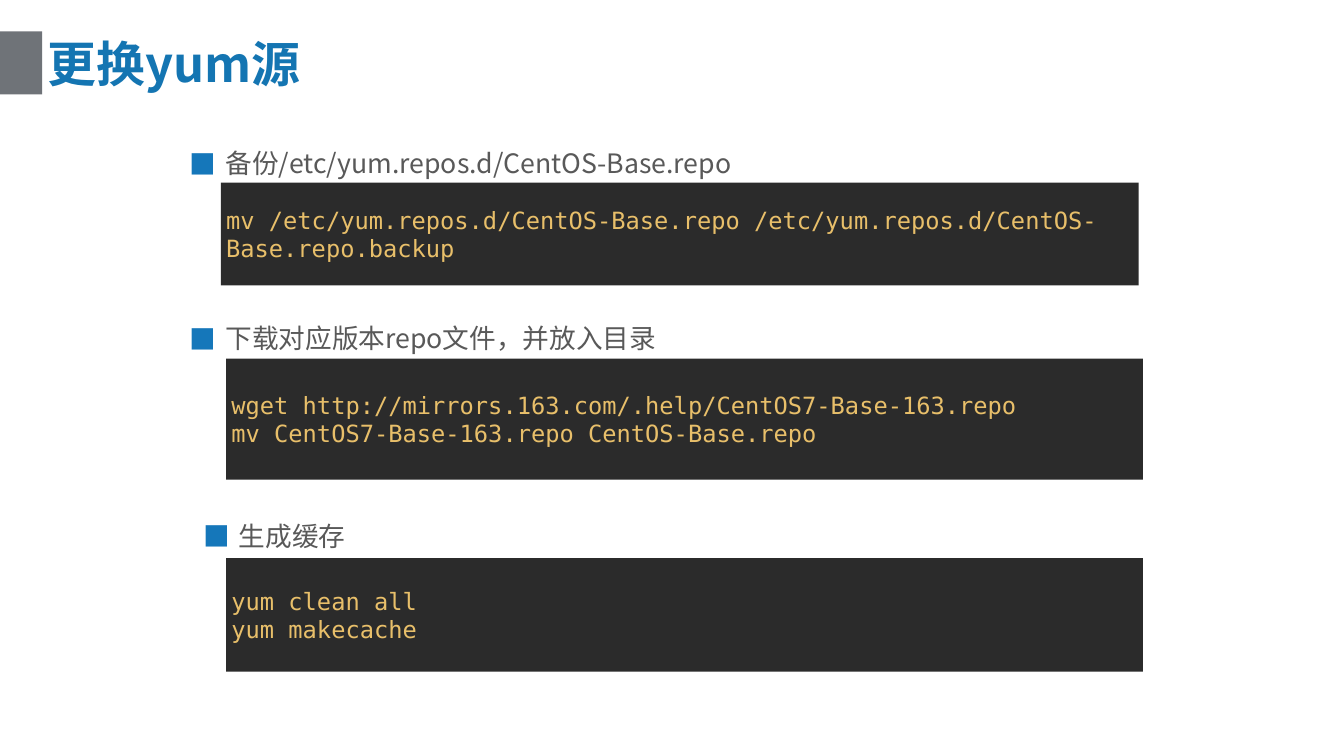
from lxml.etree import SubElement
from pptx import Presentation
from pptx.dml.color import RGBColor
from pptx.enum.shapes import MSO_SHAPE
from pptx.enum.text import MSO_ANCHOR, MSO_AUTO_SIZE, PP_ALIGN
from pptx.oxml.ns import qn
from pptx.util import Cm, Pt

SANS = "Noto Sans CJK SC"
MONO = "DejaVu Sans Mono"
BULLET_INDENT = Cm(1.7)

# Each step: heading, its box, command lines, their box (left, top, width, height in cm)
STEPS = [
    ("备份/etc/yum.repos.d/CentOS-Base.repo", (8.79, 6.11, 45.54, 2.31),
     ["mv /etc/yum.repos.d/CentOS-Base.repo /etc/yum.repos.d/CentOS-Base.repo.backup"],
     (10.52, 8.69, 43.71, 4.9)),
    ("下载对应版本repo文件，并放入目录", (8.79, 14.42, 46.2, 2.31),
     ["wget http://mirrors.163.com/.help/CentOS7-Base-163.repo",
      "mv CentOS7-Base-163.repo CentOS-Base.repo"],
     (10.77, 17.07, 43.66, 5.77)),
    ("生成缓存", (9.42, 23.84, 46.2, 2.31),
     ["yum clean all", "yum makecache"],
     (10.77, 26.57, 43.66, 5.41)),
]


def color(hex_value):
    return RGBColor.from_string(hex_value)


def add_bullet(paragraph, hex_value):
    properties = paragraph._p.get_or_add_pPr()
    properties.set("marL", str(BULLET_INDENT))
    properties.set("indent", str(-BULLET_INDENT))
    bullet_color = SubElement(properties, qn("a:buClr"))
    SubElement(bullet_color, qn("a:srgbClr"), val=hex_value)
    SubElement(properties, qn("a:buFont"), typeface=SANS)
    SubElement(properties, qn("a:buChar"), char="■")


def write(shape, lines, size, font, ink, bold=False, bullet=None,
          spacing=None, anchor=MSO_ANCHOR.TOP, grow=False):
    frame = shape.text_frame
    frame.word_wrap = True
    frame.vertical_anchor = anchor
    frame.auto_size = MSO_AUTO_SIZE.SHAPE_TO_FIT_TEXT if grow else MSO_AUTO_SIZE.NONE
    for index, line in enumerate(lines):
        paragraph = frame.paragraphs[0] if index == 0 else frame.add_paragraph()
        if bullet:
            add_bullet(paragraph, bullet)
        paragraph.alignment = PP_ALIGN.LEFT
        paragraph.line_spacing = spacing
        run = paragraph.add_run()
        run.text = line
        run.font.size = Pt(size)
        run.font.bold = bold
        run.font.color.rgb = color(ink)
        run.font.name = font
        SubElement(run.font._element, qn("a:ea"), typeface=font)


def add_text(slide, box, lines, **style):
    write(slide.shapes.add_textbox(*map(Cm, box)), lines, **style)


def add_block(slide, box, fill):
    block = slide.shapes.add_shape(MSO_SHAPE.RECTANGLE, *map(Cm, box))
    block.shadow.inherit = False
    block.fill.solid()
    block.fill.fore_color.rgb = color(fill)
    block.line.fill.background()
    return block


def add_step(slide, heading, heading_box, commands, command_box):
    add_text(slide, heading_box, [heading], size=36, font=SANS, ink="595959",
             bullet="1577BA", spacing=1.5, grow=True)
    write(add_block(slide, command_box, "2B2B2B"), commands, size=32,
          font=MONO, ink="E8BF6A", anchor=MSO_ANCHOR.MIDDLE)


def main():
    presentation = Presentation()
    presentation.slide_width = Cm(64.01)
    presentation.slide_height = Cm(35.99)
    slide = presentation.slides.add_slide(presentation.slide_layouts[6])

    # Title with its grey tab
    add_block(slide, (0, 1.5, 2.01, 3), "6F7378")
    add_text(slide, (2.01, 1.45, 60, 3.05), ["更换yum源"], size=66, font=SANS,
             ink="1475B2", bold=True, anchor=MSO_ANCHOR.MIDDLE)

    # Headings and terminal blocks
    for step in STEPS:
        add_step(slide, *step)

    presentation.save("out.pptx")


if __name__ == "__main__":
    main()
